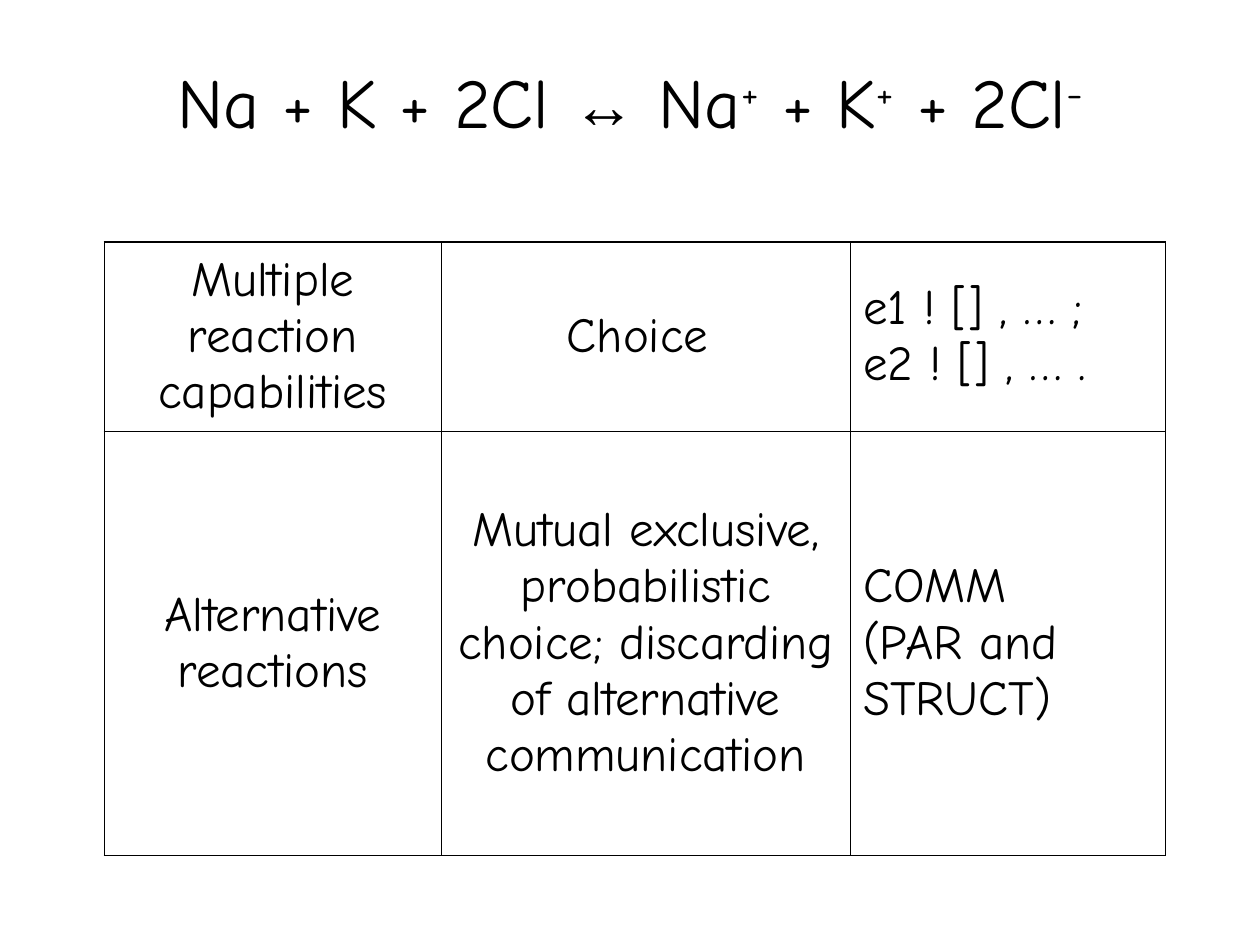
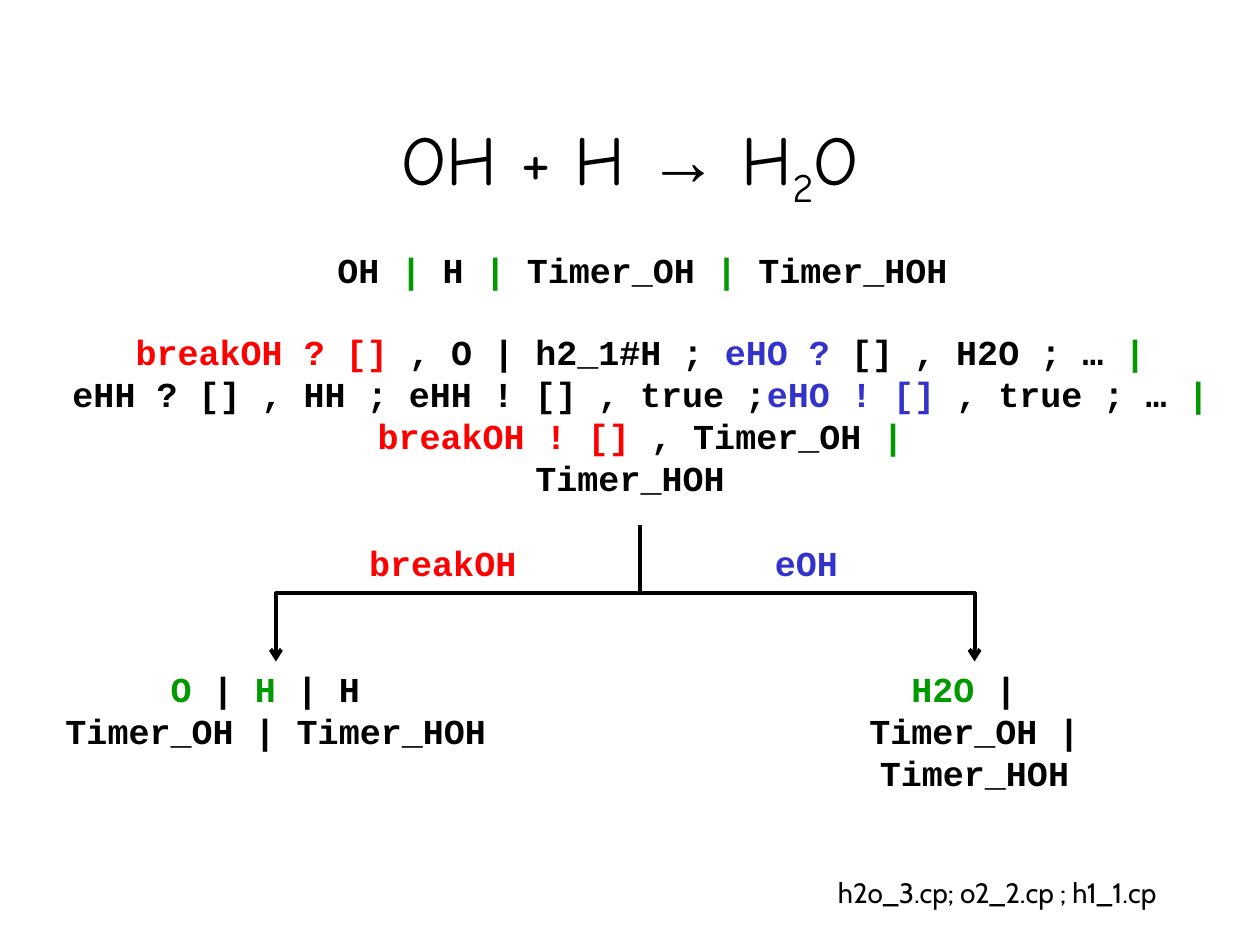
from lxml import etree
from pptx import Presentation
from pptx.dml.color import RGBColor
from pptx.enum.shapes import MSO_CONNECTOR
from pptx.enum.text import MSO_ANCHOR, MSO_AUTO_SIZE, PP_ALIGN
from pptx.oxml.ns import qn
from pptx.util import Inches, Pt

CENTER, LEFT = PP_ALIGN.CENTER, PP_ALIGN.LEFT
TOP, MIDDLE = MSO_ANCHOR.TOP, MSO_ANCHOR.MIDDLE
GROW, FIXED = MSO_AUTO_SIZE.SHAPE_TO_FIT_TEXT, MSO_AUTO_SIZE.NONE
ELBOW = MSO_CONNECTOR.ELBOW

BLACK = RGBColor(0x00, 0x00, 0x00)
RED = RGBColor(0xFF, 0x00, 0x00)
BLUE = RGBColor(0x33, 0x33, 0xCC)
GREEN = RGBColor(0x00, 0x99, 0x00)

# Text styles shared by the slides
TITLE = dict(font="Comic Neue", size=40)
TABLE = dict(font="Comic Neue", size=28)
CODE = dict(font="Courier New", size=20, bold=True)
FILES = dict(font="Cabin", size=16)

SUPER, SUB = dict(baseline=30), dict(baseline=-25)
RED_CODE, BLUE_CODE, GREEN_CODE = (dict(color=c) for c in (RED, BLUE, GREEN))

# Content: a paragraph is a list of pieces, plain text or (text, style changes)
IONS_TITLE = ["Na + K + 2Cl ", ("↔", dict(font="Arial", size=36)), " Na", ("+", SUPER),
              " + K", ("+", SUPER), " + 2Cl", ("-", SUPER)]
REACTIONS = [
    ["Multiple reaction capabilities", "Choice ", "e1 ! [] , … ;\ne2 ! [] , … ."],
    ["Alternative reactions",
     "Mutual exclusive, probabilistic choice; discarding of alternative communication",
     "COMM \n(PAR and STRUCT)"],
]
COLUMN_WIDTHS, ROW_HEIGHTS = [2.67, 3.25, 2.5], [1.5, 3.37]
COLUMN_ALIGNS = [CENTER, CENTER, LEFT]
OUTER_LINE, INNER_LINE = 1.08, 0.45

WATER_TITLE = ["OH + H ", ("→", dict(font="Arial")), " H", ("2", SUB), "O"]
BAR = ("| ", GREEN_CODE)
LAST_BAR = ("|", GREEN_CODE)
SYSTEM = ["OH ", BAR, "H ", BAR, "Timer_OH ", BAR, "Timer_HOH"]
PROCESSES = [
    [("breakOH ? []", RED_CODE), " , O | h2_1#H ; ", ("eHO ?", BLUE_CODE),
     " [] , H2O ; … ", LAST_BAR],
    ["eHH ? [] , HH ; eHH ! [] , true ;", ("eHO ! []", BLUE_CODE), " , true ; … ", LAST_BAR],
    [("breakOH ! []", RED_CODE), " , Timer_OH ", LAST_BAR],
    ["Timer_HOH "],
]
FORK, OUTCOME_TOP = (5.08, 4.17), 5.25
OUTCOMES = [  # label, label left and width, result, result left and width
    (("breakOH", RED_CODE), 2.83, 1.37,
     [("O", GREEN_CODE), " | ", ("H", GREEN_CODE), " | H \nTimer_OH | Timer_HOH"], 0.42, 3.54),
    (("eOH", BLUE_CODE), 6.05, 0.7,
     [("H2O", GREEN_CODE), " | \nTimer_OH | Timer_HOH"], 5.97, 3.53),
]
SOURCE_FILES = "h2o_3.cp; o2_2.cp ; h1_1.cp"


def style_run(run, font, size, bold=False, color=BLACK, baseline=0):
    run.font.name, run.font.size, run.font.bold = font, Pt(size), bold
    run.font.color.rgb = color
    if baseline:
        run.font._element.set("baseline", str(baseline * 1000))


def write(frame, paragraphs, style, align=CENTER):
    for i, pieces in enumerate(paragraphs):
        paragraph = frame.add_paragraph() if i else frame.paragraphs[0]
        paragraph.alignment = align
        for piece in pieces:
            words, changes = (piece, {}) if isinstance(piece, str) else piece
            for j, line in enumerate(words.split("\n")):
                if j:
                    paragraph.add_line_break()
                run = paragraph.add_run()
                run.text = line
                style_run(run, **{**style, **changes})


def add_text(slide, box, paragraphs, style, anchor=TOP, wrap=True, fit=FIXED):
    frame = slide.shapes.add_textbox(*map(Inches, box)).text_frame
    frame.word_wrap, frame.auto_size, frame.vertical_anchor = wrap, fit, anchor
    write(frame, paragraphs, style)


def add_title(slide, pieces, top):
    add_text(slide, (0.75, top, 8.5, 1.25), [pieces], TITLE, MIDDLE)


def set_borders(cell, widths):
    properties = cell._tc.get_or_add_tcPr()
    for i, (side, width) in enumerate(widths.items()):
        line = etree.Element(qn(f"a:ln{side}"), w=str(Pt(width)))
        fill = etree.SubElement(line, qn("a:solidFill"))
        etree.SubElement(fill, qn("a:srgbClr"), val=str(BLACK))
        properties.insert(i, line)


def add_reaction_table(slide):
    rows, columns = len(ROW_HEIGHTS), len(COLUMN_WIDTHS)
    size = sum(COLUMN_WIDTHS), sum(ROW_HEIGHTS)
    table = slide.shapes.add_table(rows, columns, *map(Inches, (0.83, 1.92, *size))).table
    table.first_row = table.horz_banding = False
    for column, width in zip(table.columns, COLUMN_WIDTHS):
        column.width = Inches(width)
    for r, height in enumerate(ROW_HEIGHTS):
        table.rows[r].height = Inches(height)
        for c, align in enumerate(COLUMN_ALIGNS):
            cell = table.cell(r, c)
            cell.fill.background()
            cell.vertical_anchor = MIDDLE
            write(cell.text_frame, [[REACTIONS[r][c]]], TABLE, align)
            cell.text_frame.paragraphs[0].space_before = Pt(7)
            on_edge = {"L": c == 0, "R": c == columns - 1, "T": r == 0, "B": r == rows - 1}
            set_borders(cell, {side: OUTER_LINE if edge else INNER_LINE
                               for side, edge in on_edge.items()})


def add_branch(slide, end_x):
    """Down, across and down again: an elbow drawn sideways, then turned upright."""
    (x, y), drop = FORK, OUTCOME_TOP - FORK[1]
    to_right = end_x > x
    spread = abs(end_x - x)
    center_x, center_y = (x + end_x) / 2, y + drop / 2
    half = -drop / 2 if to_right else drop / 2
    branch = slide.shapes.add_connector(ELBOW, *map(Inches, (
        center_x - half, center_y - spread / 2, center_x + half, center_y + spread / 2)))
    branch.line.color.rgb, branch.line.width = BLACK, Pt(2.25)
    properties = branch._element.spPr
    properties.find(qn("a:xfrm")).set("rot", str((270 if to_right else 90) * 60000))
    etree.SubElement(branch.line._get_or_add_ln(), qn("a:tailEnd"), type="arrow")
    etree.SubElement(properties, qn("a:effectLst"))


def build_ions_slide(slide):
    add_title(slide, IONS_TITLE, 0.17)
    add_reaction_table(slide)


def build_water_slide(slide):
    add_title(slide, WATER_TITLE, 0.67)
    add_text(slide, (2.58, 1.92, 5.04, 0.44), [SYSTEM], CODE, wrap=False, fit=GROW)
    add_text(slide, (0, 2.57, 10.17, 1.6), PROCESSES, CODE)
    # Two possible outcomes
    for label, label_left, label_width, result, left, width in OUTCOMES:
        add_text(slide, (left, OUTCOME_TOP, width, 1.1), [result], CODE, fit=GROW)
        add_branch(slide, left + width / 2)
        add_text(slide, (label_left, 4.25, label_width, 0.44), [[label]], CODE,
                 wrap=False, fit=GROW)
    add_text(slide, (6.08, 6.92, 3.67, 0.33), [[SOURCE_FILES]], FILES, MIDDLE, wrap=False)


def main():
    deck = Presentation()
    deck.slide_width, deck.slide_height = Inches(10), Inches(7.5)
    blank = deck.slide_layouts[6]
    for build in (build_ions_slide, build_water_slide):
        build(deck.slides.add_slide(blank))
    deck.save("out.pptx")


if __name__ == "__main__":
    main()
